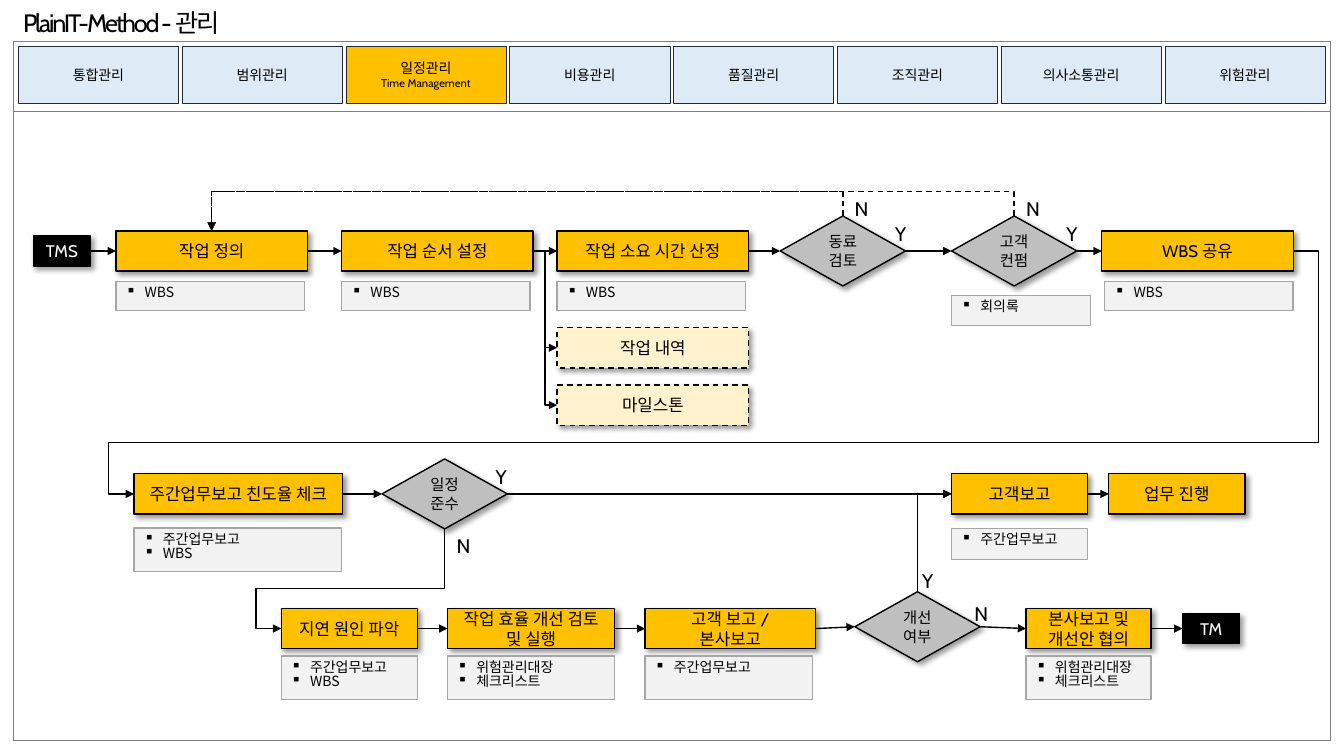
"""Build the schedule management process slide."""
from dataclasses import dataclass

from lxml.etree import SubElement
from pptx import Presentation
from pptx.dml.color import RGBColor
from pptx.enum.dml import MSO_LINE
from pptx.enum.shapes import MSO_CONNECTOR, MSO_SHAPE
from pptx.enum.text import MSO_ANCHOR, MSO_AUTO_SIZE, PP_ALIGN
from pptx.oxml.ns import qn
from pptx.util import Pt

RECTANGLE, DIAMOND = MSO_SHAPE.RECTANGLE, MSO_SHAPE.DIAMOND
STRAIGHT, ELBOW = MSO_CONNECTOR.STRAIGHT, MSO_CONNECTOR.ELBOW
LEFT, CENTER = PP_ALIGN.LEFT, PP_ALIGN.CENTER
TOP, MIDDLE = MSO_ANCHOR.TOP, MSO_ANCHOR.MIDDLE
DASH, FIT_SHAPE = MSO_LINE.DASH, MSO_AUTO_SIZE.SHAPE_TO_FIT_TEXT
SITE_TOP, SITE_LEFT, SITE_BOTTOM, SITE_RIGHT = range(4)


@dataclass(frozen=True)
class Theme:
    font: str = "Cabin"
    note_font: str = "Noto Sans CJK KR"
    black: RGBColor = RGBColor(0, 0, 0)
    white: RGBColor = RGBColor(255, 255, 255)
    frame: str = "808080"
    tab: RGBColor = RGBColor(0xDE, 0xEB, 0xF7)
    tab_line: RGBColor = RGBColor(0x22, 0x2A, 0x35)
    amber: RGBColor = RGBColor(0xFF, 0xC0, 0)
    cream: RGBColor = RGBColor(0xFF, 0xF2, 0xCC)
    decision: RGBColor = RGBColor(0xBF, 0xBF, 0xBF)
    note: RGBColor = RGBColor(0xF2, 0xF2, 0xF2)
    note_line: RGBColor = RGBColor(0xA6, 0xA6, 0xA6)
    title_size: float = 18
    label_size: float = 14
    process_size: float = 12
    decision_size: float = 11
    small_size: float = 10
    subtitle_size: float = 8


theme = Theme()
deck = Presentation()
deck.slide_width, deck.slide_height = Pt(960), Pt(540)
page = deck.slides.add_slide(deck.slide_layouts[6])


def write(box, text, size, color=theme.black, align=CENTER, font=theme.font, bullet=False):
    frame = box.text_frame
    for index, line in enumerate(text.split("\n")):
        para = frame.add_paragraph() if index else frame.paragraphs[0]
        para.alignment = align
        if bullet:
            para.line_spacing = 0.84
            props = para._p.get_or_add_pPr()
            props.set("marL", str(Pt(13.5)))
            props.set("indent", str(-Pt(13.5)))
            SubElement(props, qn("a:buChar")).set("char", "▪")
        span = para.add_run()
        span.text = line
        span.font.name = font
        span.font.size = Pt(size)
        span.font.color.rgb = color
        SubElement(span._r.get_or_add_rPr(), qn("a:ea")).set("typeface", font)


def add_box(kind, left, top, width, height, fill, line, weight=1.0, anchor=MIDDLE, shadow=False):
    box = page.shapes.add_shape(kind, Pt(left), Pt(top), Pt(width), Pt(height))
    box.fill.solid()
    box.fill.fore_color.rgb = fill
    box.line.color.rgb = line
    box.line.width = Pt(weight)
    box.text_frame.word_wrap = True
    box.text_frame.vertical_anchor = anchor
    box.shadow.inherit = False
    if shadow:
        effects = box.element.spPr.find(qn("a:effectLst"))
        cast = SubElement(effects, qn("a:outerShdw"), blurRad=str(Pt(4)), dist=str(Pt(3)),
                          dir="2700000", algn="tl", rotWithShape="0")
        tint = SubElement(cast, qn("a:srgbClr"), val="000000")
        SubElement(tint, qn("a:alpha"), val="40000")
    return box


table = page.shapes.add_table(2, 1, Pt(9.5), Pt(29.7), Pt(941), Pt(499)).table
table.first_row = table.horz_banding = False
for row, height in zip(table.rows, (49.7, 449.3)):
    row.height = Pt(height)
    cell = row.cells[0]
    for side in ("a:lnL", "a:lnR", "a:lnT", "a:lnB"):
        border = SubElement(cell._tc.get_or_add_tcPr(), qn(side), w=str(Pt(0.5)))
        SubElement(SubElement(border, qn("a:solidFill")), qn("a:srgbClr"), val=theme.frame)
    cell.fill.background()

tabs = ("통합관리", "범위관리", "일정관리", "비용관리", "품질관리", "조직관리", "의사소통관리", "위험관리")
for index, name in enumerate(tabs):
    current = name == "일정관리"
    tab = add_box(RECTANGLE, 13 + 117 * index, 33.1, 114.5, 41,
                  theme.amber if current else theme.tab, theme.tab_line, 0.25)
    write(tab, name, theme.small_size)
    if current:
        para = tab.text_frame.add_paragraph()
        para.alignment = CENTER
        span = para.add_run()
        span.text = "Time Management"
        span.font.name = theme.font
        span.font.size = Pt(theme.subtitle_size)
        span.font.color.rgb = theme.black

ROW_1, ROW_2, ROW_3 = 179.3, 352.8, 449
processes = (
    ("define", "작업 정의", 82.8, ROW_1, 136.8),
    ("order", "작업 순서 설정", 244.1, ROW_1, 136.8),
    ("estimate", "작업 소요 시간 산정", 398, ROW_1, 136.8),
    ("details", "작업 내역", 398, 248.4, 136.8),
    ("milestone", "마일스톤", 398, 289.4, 136.8),
    ("share", "WBS 공유", 787, ROW_1, 136.8),
    ("weekly", "주간업무보고 친도율 체크", 95.8, ROW_2, 149),
    ("customer", "고객보고", 679.7, ROW_2, 97.2),
    ("proceed", "업무 진행", 792, ROW_2, 97.2),
    ("delay", "지연 원인 파악", 200.9, ROW_3, 97.2),
    ("improve", "작업 효율 개선 검토 및 실행", 319.7, ROW_3, 119.5),
    ("report", "고객 보고 /\n본사보고", 460.8, ROW_3, 121.7),
    ("office", "본사보고 및\n개선안 협의", 733, ROW_3, 89.3),
)
nodes = {}
for key, text, left, middle, width in processes:
    optional = key in ("details", "milestone")
    box = add_box(RECTANGLE, left, middle - 14.4, width, 28.8,
                  theme.cream if optional else theme.amber, theme.black, shadow=True)
    if optional:
        box.line.dash_style = DASH
    write(box, text, theme.process_size)
    nodes[key] = box

decisions = (
    ("peer", "동료\n검토", 557.3, ROW_1),
    ("confirm", "고객컨펌", 679.7, ROW_1),
    ("on_time", "일정\n준수", 272.9, ROW_2),
    ("better", "개선\n여부", 610.6, 447.7),
)
for key, text, left, middle in decisions:
    box = add_box(DIAMOND, left, middle - 25, 89.5, 50, theme.decision, theme.black, shadow=True)
    box.text_frame.margin_left = box.text_frame.margin_right = Pt(8)
    write(box, text, theme.decision_size)
    nodes[key] = box

for key, left, middle in (("TMS", 23.8, ROW_1), ("TM", 844.6, ROW_3)):
    box = add_box(RECTANGLE, left, middle - 10.8, 41, 21.6, theme.black, theme.black, shadow=True)
    write(box, key, theme.process_size, theme.white)
    nodes[key] = box

notes = [("WBS", left, 200.9, 134.6, 21) for left in (82.8, 244.1, 398, 789.1)] + [
    ("회의록", 679.7, 211, 99.4, 21.6),
    ("주간업무보고\nWBS", 95.8, 377.3, 148.3, 31),
    ("주간업무보고", 679.7, 377.3, 97.2, 22.3),
    ("주간업무보고\nWBS", 200.9, 468.7, 97.2, 31),
    ("위험관리대장\n체크리스트", 319.7, 468.7, 119.5, 31),
    ("주간업무보고", 460.8, 468.7, 119.5, 31),
    ("위험관리대장\n체크리스트", 733, 468.7, 89.3, 31),
]
for text, left, top, width, height in notes:
    note = add_box(RECTANGLE, left, top, width, height, theme.note, theme.note_line, anchor=TOP)
    write(note, text, theme.small_size, align=LEFT, font=theme.note_font, bullet=True)

chains = (("TMS", "define", "order", "estimate", "peer", "confirm", "share"),
          ("weekly", "on_time", "customer", "proceed"),
          ("delay", "improve", "report", "better", "office", "TM"))
links = [(start, SITE_RIGHT, end, SITE_LEFT, None, 0, "", ())
         for chain in chains for start, end in zip(chain, chain[1:])]
links += [
    ("peer", SITE_TOP, "define", SITE_TOP, "bentConnector3", 270, "hv", (-165000,)),
    ("confirm", SITE_TOP, "define", SITE_TOP, "bentConnector3", 270, "hv", (-165000,)),
    ("order", SITE_RIGHT, "details", SITE_LEFT, "bentConnector3", 0, "", (50000,)),
    ("order", SITE_RIGHT, "milestone", SITE_LEFT, "bentConnector3", 0, "", (50000,)),
    ("share", SITE_RIGHT, "weekly", SITE_LEFT, "bentConnector5", 0, "h", (-2200, 78800, 102200)),
    ("on_time", SITE_BOTTOM, "delay", SITE_LEFT, "bentConnector4", 90, "", (59700, 115400)),
    ("better", SITE_TOP, "customer", SITE_LEFT, "bentConnector2", 90, "hv", ()),
]
for start, start_site, end, end_site, preset, turn, flips, bends in links:
    link = page.shapes.add_connector(ELBOW if preset else STRAIGHT, 0, 0, 0, 0)
    link.begin_connect(nodes[start], start_site)
    link.end_connect(nodes[end], end_site)
    link.line.color.rgb = theme.black
    link.line.width = Pt(1)
    if end_site == SITE_TOP:
        link.line.dash_style = DASH
    shape_props = link.element.spPr
    SubElement(shape_props.find(qn("a:ln")), qn("a:tailEnd"), type="triangle")
    SubElement(shape_props, qn("a:effectLst"))
    if preset:
        if turn:
            shift = (link.width - link.height) // 2
            link.left, link.top = link.left + shift, link.top - shift
            link.width, link.height = link.height, link.width
        transform = shape_props.find(qn("a:xfrm"))
        transform.set("rot", str(turn * 60000))
        transform.set("flipH", str(int("h" in flips)))
        transform.set("flipV", str(int("v" in flips)))
        geometry = shape_props.find(qn("a:prstGeom"))
        geometry.set("prst", preset)
        for number, bend in enumerate(bends, 1):
            SubElement(geometry.find(qn("a:avLst")), qn("a:gd"), name=f"adj{number}", fmla=f"val {bend}")

labels = [("PlainIT-Method - 관리", 9.4, 1.4, 163.4, 28.8, theme.title_size)]
labels += [(answer, left, top, 24, 24.5, theme.label_size) for answer, left, top in (
    ("Y", 632.2, 154.8), ("N", 603.4, 136.8), ("Y", 754.6, 154.8), ("N", 725.8, 136.8),
    ("Y", 347, 328.3), ("N", 319, 378), ("Y", 651.6, 402.5), ("N", 689, 426.2))]
for text, left, top, width, height, size in labels:
    label = page.shapes.add_textbox(Pt(left), Pt(top), Pt(width), Pt(height))
    label.text_frame.word_wrap = False
    label.text_frame.auto_size = FIT_SHAPE
    write(label, text, size, align=LEFT)
    if size == theme.title_size:
        label.text_frame.paragraphs[0].runs[0]._r.get_or_add_rPr().set("spc", "-150")

deck.save("out.pptx")
